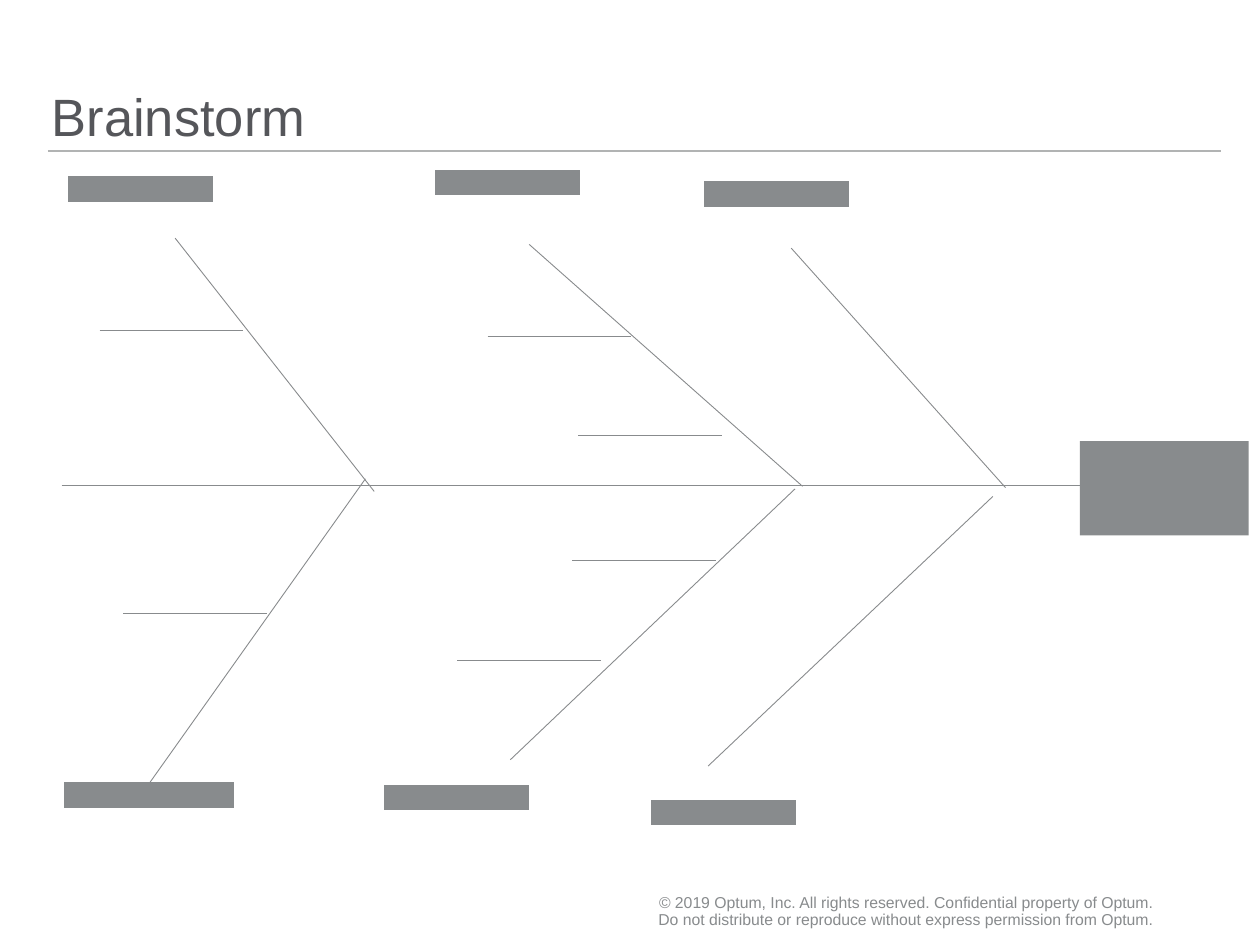
from dataclasses import dataclass

from lxml import etree
from pptx import Presentation
from pptx.dml.color import RGBColor
from pptx.enum.shapes import MSO_CONNECTOR, MSO_SHAPE
from pptx.enum.text import MSO_ANCHOR, PP_ALIGN
from pptx.oxml.ns import qn
from pptx.util import Pt

STRAIGHT = MSO_CONNECTOR.STRAIGHT
PROCESS = MSO_SHAPE.FLOWCHART_PROCESS
RECTANGLE = MSO_SHAPE.RECTANGLE
BOTTOM = MSO_ANCHOR.BOTTOM
LEFT = PP_ALIGN.LEFT
RIGHT = PP_ALIGN.RIGHT

EMU_PER_PX = 9144
SPINE_Y = 385
TWIG_LENGTH = 114
LABEL_HEIGHT = 20


@dataclass(frozen=True)
class Theme:
    font: str = "Arial"
    title_color: str = "55565A"
    gray: str = "888B8D"
    rule_color: str = "B1B3B3"
    title_size: int = 30
    footer_size: int = 9
    rule_width: float = 1
    bone_width: float = 0.5
    line_spacing: float = 0.9


def px(*values):
    return [value * EMU_PER_PX for value in values]


class SlideBuilder:
    def __init__(self, slide, theme):
        self.shapes = slide.shapes
        self.theme = theme

    def text(self, text, *, box, size, color, align=LEFT):
        shape = self.shapes.add_textbox(*px(*box))
        frame = shape.text_frame
        frame.word_wrap = True
        frame.vertical_anchor = BOTTOM
        frame.margin_left = frame.margin_right = 0
        frame.margin_top = frame.margin_bottom = 0
        paragraph = frame.paragraphs[0]
        paragraph.alignment = align
        paragraph.line_spacing = self.theme.line_spacing
        run = paragraph.add_run()
        run.text = text
        run.font.name = self.theme.font
        run.font.size = Pt(size)
        run.font.color.rgb = RGBColor.from_string(color)

    def block(self, kind, box):
        shape = self.shapes.add_shape(kind, *px(*box))
        shape.shadow.inherit = False
        shape.fill.solid()
        shape.fill.fore_color.rgb = RGBColor.from_string(self.theme.gray)
        shape.line.fill.background()

    def line(self, start, end, color, width):
        connector = self.shapes.add_connector(STRAIGHT, *px(*start, *end))
        connector.line.color.rgb = RGBColor.from_string(color)
        connector.line.width = Pt(width)
        etree.SubElement(connector.element.spPr, qn("a:effectLst"))

    def bone(self, start, end):
        self.line(start, end, self.theme.gray, self.theme.bone_width)


def main():
    presentation = Presentation()
    presentation.slide_width, presentation.slide_height = px(1000, 750)
    slide = presentation.slides.add_slide(presentation.slide_layouts[6])
    theme = Theme()
    builder = SlideBuilder(slide, theme)

    builder.line((38, 120), (969, 120), theme.rule_color, theme.rule_width)
    builder.text("Brainstorm", box=(41, 0, 928, 117),
                 size=theme.title_size, color=theme.title_color)
    builder.text(
        "© 2019 Optum, Inc. All rights reserved. Confidential property of Optum. "
        "Do not distribute or reproduce without express permission from Optum.",
        box=(516, 697, 399, 40), size=theme.footer_size,
        color=theme.gray, align=RIGHT)

    cause_labels = [
        (54, 140, 115), (345, 135, 115), (559, 144, 115),
        (51, 621, 135), (305, 623, 115), (517, 635, 115),
    ]
    for left, top, width in cause_labels:
        builder.block(PROCESS, (left, top, width, LABEL_HEIGHT))

    builder.bone((49, SPINE_Y), (923, SPINE_Y))
    builder.block(RECTANGLE, (857, 350, 134, 75))

    ribs = [
        ((139, 189), (297, 390)), ((420, 194), (637, 386)),
        ((628, 197), (798, 387)), ((290, 380), (119, 621)),
        ((631, 388), (405, 603)), ((788, 394), (562, 608)),
    ]
    for start, end in ribs:
        builder.bone(start, end)

    twigs = [(79, 262), (387, 267), (459, 346), (98, 487), (454, 445), (363, 524)]
    for left, top in twigs:
        builder.bone((left, top), (left + TWIG_LENGTH, top))

    presentation.save("out.pptx")


if __name__ == "__main__":
    main()
